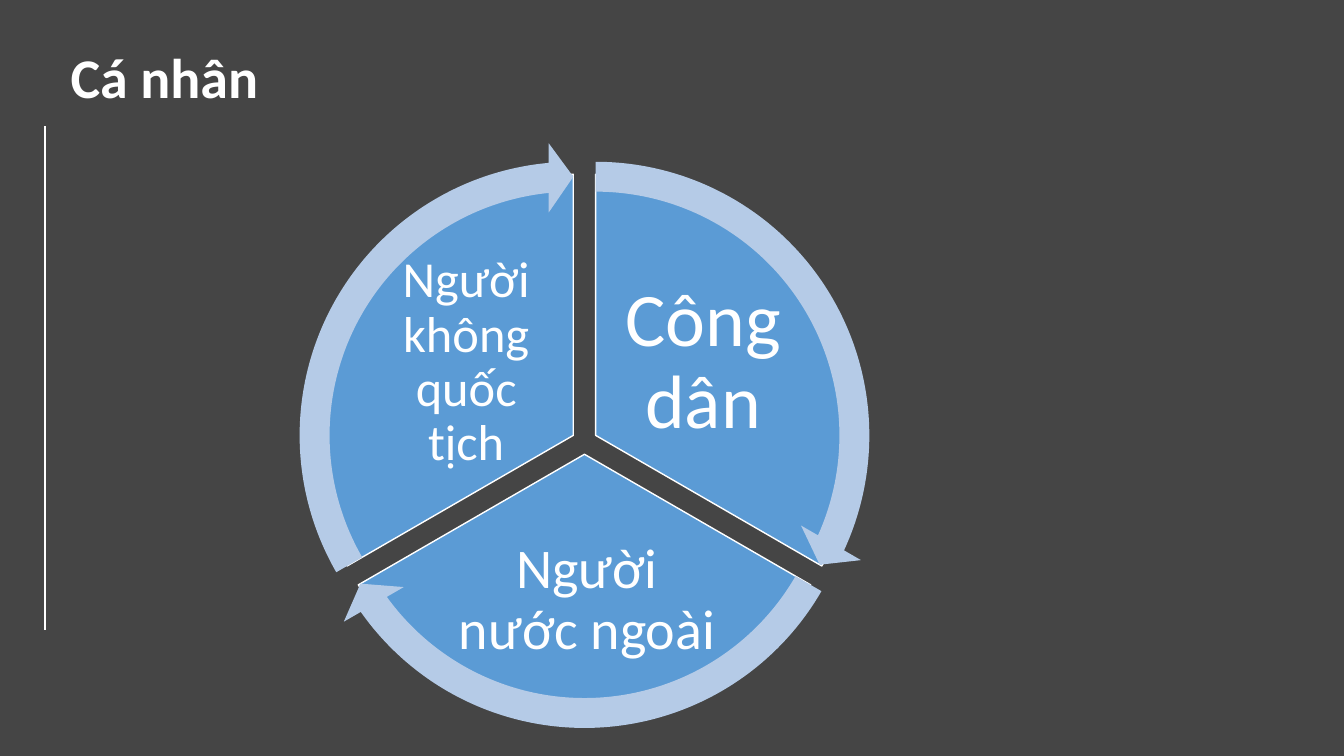
from lxml import etree
from pptx import Presentation
from pptx.dml.color import RGBColor
from pptx.enum.shapes import MSO_CONNECTOR, MSO_SHAPE
from pptx.enum.text import MSO_ANCHOR, MSO_AUTO_SIZE, PP_ALIGN
from pptx.oxml.ns import qn
from pptx.util import Pt

PIE, ARROW = MSO_SHAPE.PIE, MSO_SHAPE.CIRCULAR_ARROW
STRAIGHT = MSO_CONNECTOR.STRAIGHT
MIDDLE, NO_FIT = MSO_ANCHOR.MIDDLE, MSO_AUTO_SIZE.NONE
LEFT, CENTER = PP_ALIGN.LEFT, PP_ALIGN.CENTER

COLORS = {name: RGBColor.from_string(value) for name, value in {
    "background": "454545", "white": "FFFFFF",
    "sector": "5B9BD5", "arrow": "B5CBE7"}.items()}
PIE_SIZE, ARROW_SIZE = 373, 419
ARROW_MARGIN = (ARROW_SIZE - PIE_SIZE) / 2


def write(shape, text, size, align):
    frame = shape.text_frame
    frame.word_wrap = True
    frame.auto_size = NO_FIT
    frame.vertical_anchor = MIDDLE
    para = frame.paragraphs[0]
    para.text = text
    para.alignment = align
    para.line_spacing = 0.9
    para.font.name = "Calibri"
    para.font.size = Pt(size)
    para.font.color.rgb = COLORS["white"]
    return frame


def add_ring_shape(kind, left, top, size, color, adjustments):
    shape = page.shapes.add_shape(kind, Pt(left), Pt(top), Pt(size), Pt(size))
    shape.shadow.inherit = False
    shape.fill.solid()
    shape.fill.fore_color.rgb = COLORS[color]
    for index, value in enumerate(adjustments):
        shape.adjustments[index] = value
    return shape


deck = Presentation()
deck.slide_width, deck.slide_height = Pt(960), Pt(540)
page = deck.slides.add_slide(deck.slide_layouts[5])
page.background.fill.solid()
page.background.fill.fore_color.rgb = COLORS["background"]

side_line = page.shapes.add_connector(STRAIGHT, Pt(32.4), Pt(90), Pt(32.4), Pt(450))
side_line.line.color.rgb = COLORS["white"]
side_line.line.width = Pt(1.5)
etree.SubElement(side_line._element.spPr, qn("a:effectLst"))

title = page.shapes.title
title.left, title.top, title.width, title.height = Pt(43.2), Pt(31.7), Pt(677), Pt(51)
write(title, "Cá nhân", 40, LEFT).paragraphs[0].font.bold = True

sectors = [
    ("Công dân", 54, 5, (239, 124.5), (162, 18), (14.725, 161.994),
     (435.6, 203.8, 133.2, 110.9)),
    ("Người nước ngoài", 40, 4, (231, 138), (18, 90), (86.72, 18.005),
     (319.7, 380.2, 199.4, 97.9)),
    ("Người không quốc tịch", 36, 3.6, (223, 124.5), (90, 162), (158.73, 90),
     (266.4, 203.8, 133.2, 110.9)),
]
for text, size, inset, (left, top), angles, arrow_angles, label_area in sectors:
    sector = add_ring_shape(PIE, left, top, PIE_SIZE, "sector", angles)
    sector.line.color.rgb = COLORS["white"]
    sector.line.width = Pt(1)
    label = page.shapes.add_textbox(*map(Pt, label_area))
    frame = write(label, text, size, CENTER)
    frame.margin_left = frame.margin_right = Pt(inset)
    frame.margin_top = frame.margin_bottom = Pt(inset)

for text, size, inset, (left, top), angles, arrow_angles, label_area in sectors:
    arrow = add_ring_shape(ARROW, left - ARROW_MARGIN, top - ARROW_MARGIN, ARROW_SIZE,
                           "arrow", (0.051, 3.275, *arrow_angles, 0.059))
    arrow.line.fill.background()

deck.save("out.pptx")
